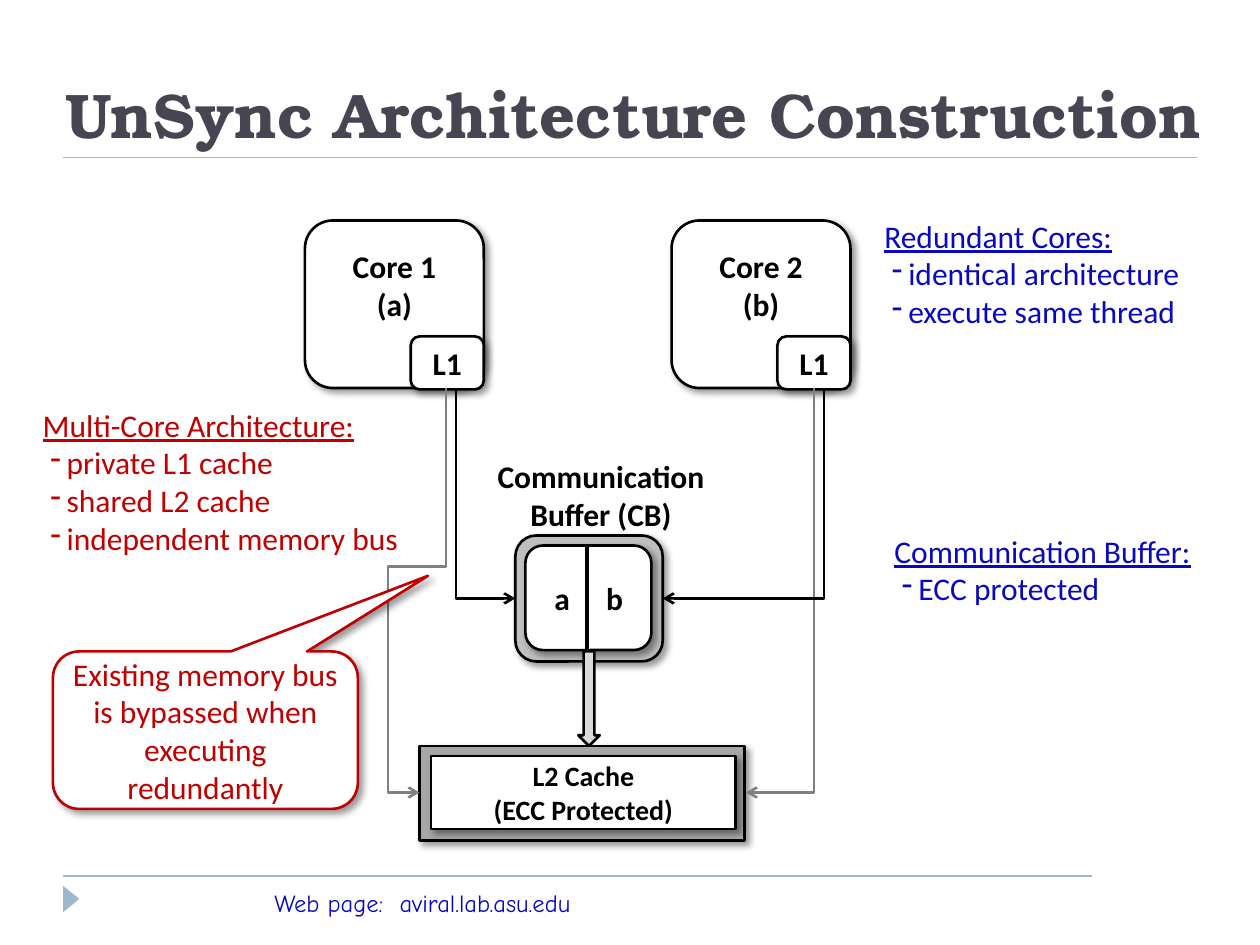
from dataclasses import dataclass

import pptx
import pptx.dml.color
import pptx.enum.shapes
import pptx.enum.text
import pptx.oxml
import pptx.oxml.ns
import pptx.util
from lxml import etree

EMU_PER_PX = 9144  # 100 px to the inch
SHAPES = pptx.enum.shapes.MSO_SHAPE
ALIGN = pptx.enum.text.PP_ALIGN
ANCHOR = pptx.enum.text.MSO_ANCHOR
BLACK, WHITE, RED, BLUE = "000000", "FFFFFF", "C00000", "0808C0"
RULE, BUS = "9FB8CD", "808080"


@dataclass
class Core:
    left: int
    label: str


@dataclass
class Note:
    left: int
    top: int
    width: int
    height: int
    color: str
    heading: str
    items: list[str]


@dataclass
class Route:
    """A bent arrow, described from its arrowhead back to its source."""
    tip: tuple[int, int]
    source: tuple[int, int]
    color: str
    detour: tuple[int, int] | None = None


CORES = [Core(242, "Core 1\n(a)"), Core(533, "Core 2\n(b)")]
NOTES = [
    Note(692, 167, 292, 101, BLUE, "Redundant Cores:",
         ["identical architecture", "execute same thread"]),
    Note(700, 417, 292, 71, BLUE, "Communication Buffer:", ["ECC protected"]),
    Note(24, 317, 325, 131, RED, "Multi-Core Architecture:",
         ["private L1 cache", "shared L2 cache", "independent memory bus"]),
]
BUS_ROUTES = [
    Route((333, 629), (354, 308), BUS, detour=(308, 450)),
    Route((592, 629), (646, 308), BUS),
]
BUFFER_ROUTES = [
    Route((409, 475), (362, 308), BLACK),
    Route((526, 475), (654, 308), BLACK),
]


def px(length: int) -> pptx.util.Emu:
    return pptx.util.Emu(length * EMU_PER_PX)


def rgb(color: str) -> pptx.dml.color.RGBColor:
    return pptx.dml.color.RGBColor.from_string(color)


def add_child(parent, tag: str, **attributes):
    child = etree.SubElement(parent, pptx.oxml.ns.qn(tag))
    for name, value in attributes.items():
        child.set(name, str(value))
    return child


def write_text(shape, text: str, *, size=18, color=BLACK, font="Calibri", bold=False,
               underline=False, align=ALIGN.LEFT, anchor=ANCHOR.TOP, wrap=True,
               bullet="", tab=0, inset_left=10, inset_bottom=5, append=False) -> None:
    """Write one paragraph per line of text, after any existing text if append is set."""
    frame = shape.text_frame
    frame.word_wrap = wrap
    frame.vertical_anchor = anchor
    frame.margin_left, frame.margin_bottom = px(inset_left), px(inset_bottom)
    for index, line in enumerate(text.split("\n")):
        paragraph = frame.add_paragraph() if append or index else frame.paragraphs[0]
        properties = paragraph._p.get_or_add_pPr()
        if bullet:
            properties.set("marL", str(px(19)))
            properties.set("indent", str(px(-13)))
            add_child(properties, "a:buChar", char=bullet)
        if tab:
            tabs = add_child(properties, "a:tabLst")
            add_child(tabs, "a:tab", pos=px(tab), algn="l")
        paragraph.alignment = align
        run = paragraph.add_run()
        run.text = line
        run.font.name, run.font.size = font, pptx.util.Pt(size)
        run.font.bold, run.font.underline = bold, underline
        run.font.color.rgb = rgb(color)


def add_text(slide, left: int, top: int, width: int, height: int, text: str, **text_format):
    box = slide.shapes.add_textbox(px(left), px(top), px(width), px(height))
    write_text(box, text, **text_format)
    return box


def add_box(slide, left: int, top: int, width: int, height: int, *,
            kind=SHAPES.ROUNDED_RECTANGLE, fill=WHITE, line: str | None = BLACK,
            shadow=True, text="", **text_format):
    shape = slide.shapes.add_shape(kind, px(left), px(top), px(width), px(height))
    shape.shadow.inherit = False
    shape.fill.solid()
    shape.fill.fore_color.rgb = rgb(fill)
    if line:
        shape.line.color.rgb = rgb(line)
        shape.line.width = pptx.util.Pt(1.5)
    else:
        shape.line.fill.background()
    if shadow:
        effects = shape._element.spPr.find(pptx.oxml.ns.qn("a:effectLst"))
        outer = add_child(effects, "a:outerShdw", blurRad=pptx.util.Pt(4),
                          dist=pptx.util.Pt(3), dir=45 * 60000, algn="tl", rotWithShape=0)
        add_child(add_child(outer, "a:srgbClr", val=BLACK), "a:alpha", val=40000)
    if text:
        write_text(shape, text, **{"align": ALIGN.CENTER, "anchor": ANCHOR.MIDDLE,
                                   "bold": True, **text_format})
    return shape


def add_line(slide, begin: tuple[int, int], end: tuple[int, int], *, color: str,
             width: float, kind=pptx.enum.shapes.MSO_CONNECTOR.STRAIGHT):
    line = slide.shapes.add_connector(kind, *map(px, begin + end))
    line.line.color.rgb = rgb(color)
    line.line.width = pptx.util.Pt(width)
    add_child(line._element.spPr, "a:effectLst")
    return line


def add_route(slide, route: Route) -> None:
    arrow = add_line(slide, route.tip, route.source, color=route.color, width=1.5,
                     kind=pptx.enum.shapes.MSO_CONNECTOR.ELBOW)
    geometry = arrow._element.spPr.find(pptx.oxml.ns.qn("a:prstGeom"))
    geometry.set("prst", "bentConnector4" if route.detour else "bentConnector2")
    if route.detour:
        guides = geometry.find(pptx.oxml.ns.qn("a:avLst"))
        if guides is None:
            guides = add_child(geometry, "a:avLst")
        legs = zip(route.tip, route.source, route.detour)
        for number, (tip, source, turn) in enumerate(legs, start=1):
            share = round(100000 * (turn - tip) / (source - tip))
            add_child(guides, "a:gd", name=f"adj{number}", fmla=f"val {share}")
    add_child(arrow.line._get_or_add_ln(), "a:headEnd", type="arrow")


def add_note(slide, note: Note) -> None:
    box = add_text(slide, note.left, note.top, note.width, note.height, note.heading,
                   color=note.color, underline=True)
    write_text(box, "\n".join(note.items), color=note.color, bullet="-", append=True)


def add_page_frame(slide) -> None:
    add_line(slide, (50, 695), (867, 695), color=RULE, width=1)
    add_line(slide, (50, 125), (950, 125), color=RULE, width=1)
    marker = add_box(slide, 46, 707, 21, 13, kind=SHAPES.ISOSCELES_TRIANGLE,
                     fill=RULE, line=None, shadow=False)
    marker.rotation = 90
    add_text(slide, 208, 700, 375, 34, "Web page:  aviral.lab.asu.edu",
             size=14, font="Comic Neue", color=BLUE)
    add_text(slide, 42, 17, 925, 108, "UnSync Architecture Construction", size=36,
             font="TeX Gyre Bonum", color="464653", bold=True, anchor=ANCHOR.BOTTOM)


def add_core(slide, core: Core) -> None:
    add_box(slide, core.left, 175, 142, 133, text=core.label, inset_bottom=35)
    add_box(slide, core.left + 84, 267, 58, 42, text="L1")


def add_communication_buffer(slide) -> None:
    add_box(slide, 409, 425, 117, 100, fill="BFBFBF")
    add_box(slide, 417, 433, 100, 83, text="a\tb", align=ALIGN.LEFT, tab=41, inset_left=19)
    add_box(slide, 459, 517, 17, 75, kind=SHAPES.DOWN_ARROW, fill="D9D9D9", shadow=False)
    add_line(slide, (466, 433), (466, 517), color=BLACK, width=2.25)
    for route in BUFFER_ROUTES:
        add_route(slide, route)
    add_text(slide, 368, 358, 218, 71, "Communication\nBuffer (CB)", bold=True,
             align=ALIGN.CENTER, wrap=False)


def main() -> None:
    presentation = pptx.Presentation()
    presentation.slide_width, presentation.slide_height = px(1000), px(750)
    slide = presentation.slides.add_slide(presentation.slide_layouts[6])
    add_page_frame(slide)
    for core in CORES:
        add_core(slide, core)
    add_box(slide, 333, 592, 258, 75, kind=SHAPES.RECTANGLE, fill="A6A6A6")
    add_box(slide, 342, 600, 242, 58, kind=SHAPES.RECTANGLE,
            text="L2 Cache\n(ECC Protected)", size=16)
    for route in BUS_ROUTES:
        add_route(slide, route)
    add_communication_buffer(slide)
    for note in NOTES:
        add_note(slide, note)
    callout = add_box(slide, 42, 517, 242, 125, kind=SHAPES.ROUNDED_RECTANGULAR_CALLOUT,
                      line=RED, color=RED, bold=False,
                      text="Existing memory bus is bypassed when executing redundantly")
    callout.adjustments[0], callout.adjustments[1] = 0.73, -0.98
    presentation.save("out.pptx")


if __name__ == "__main__":
    main()
